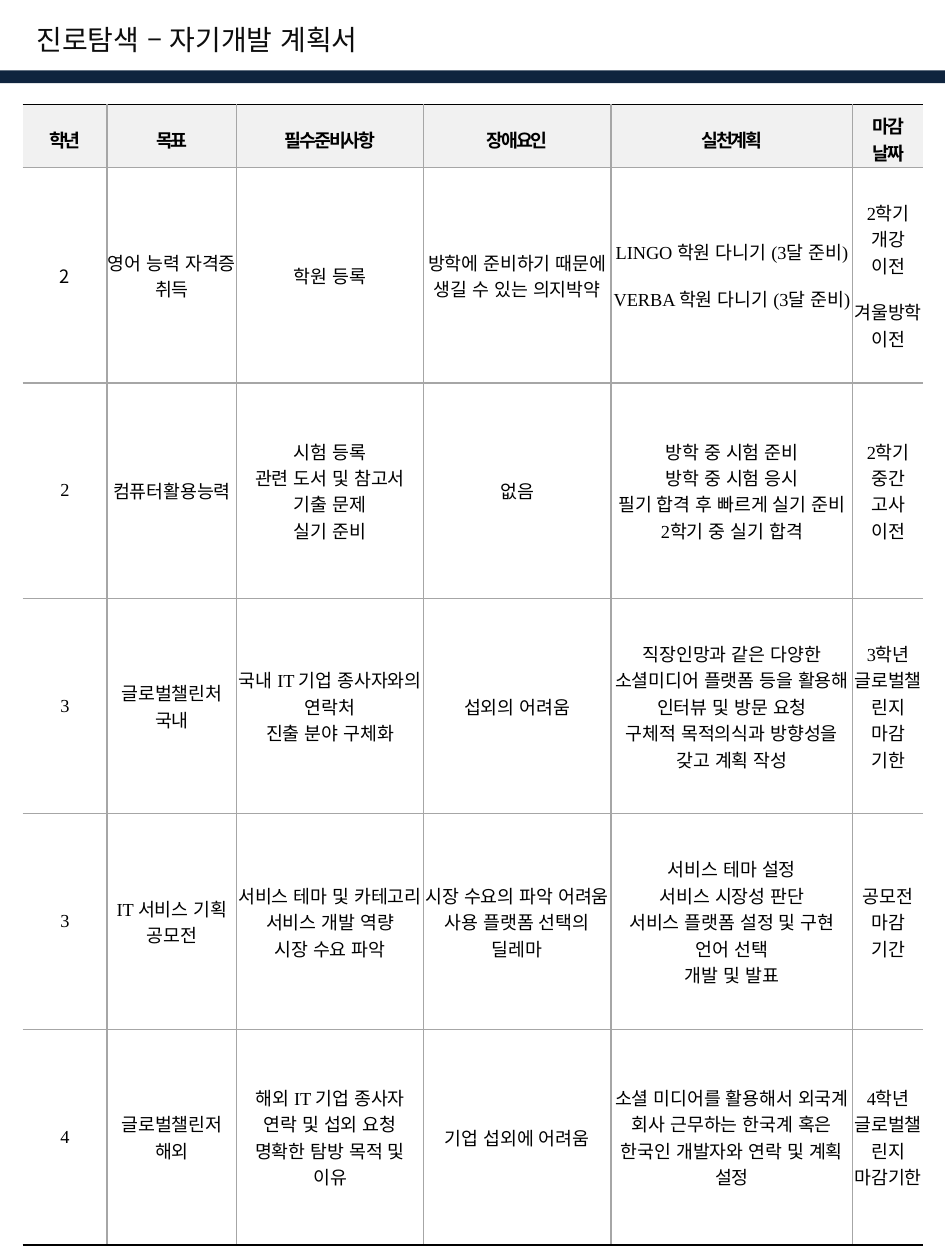
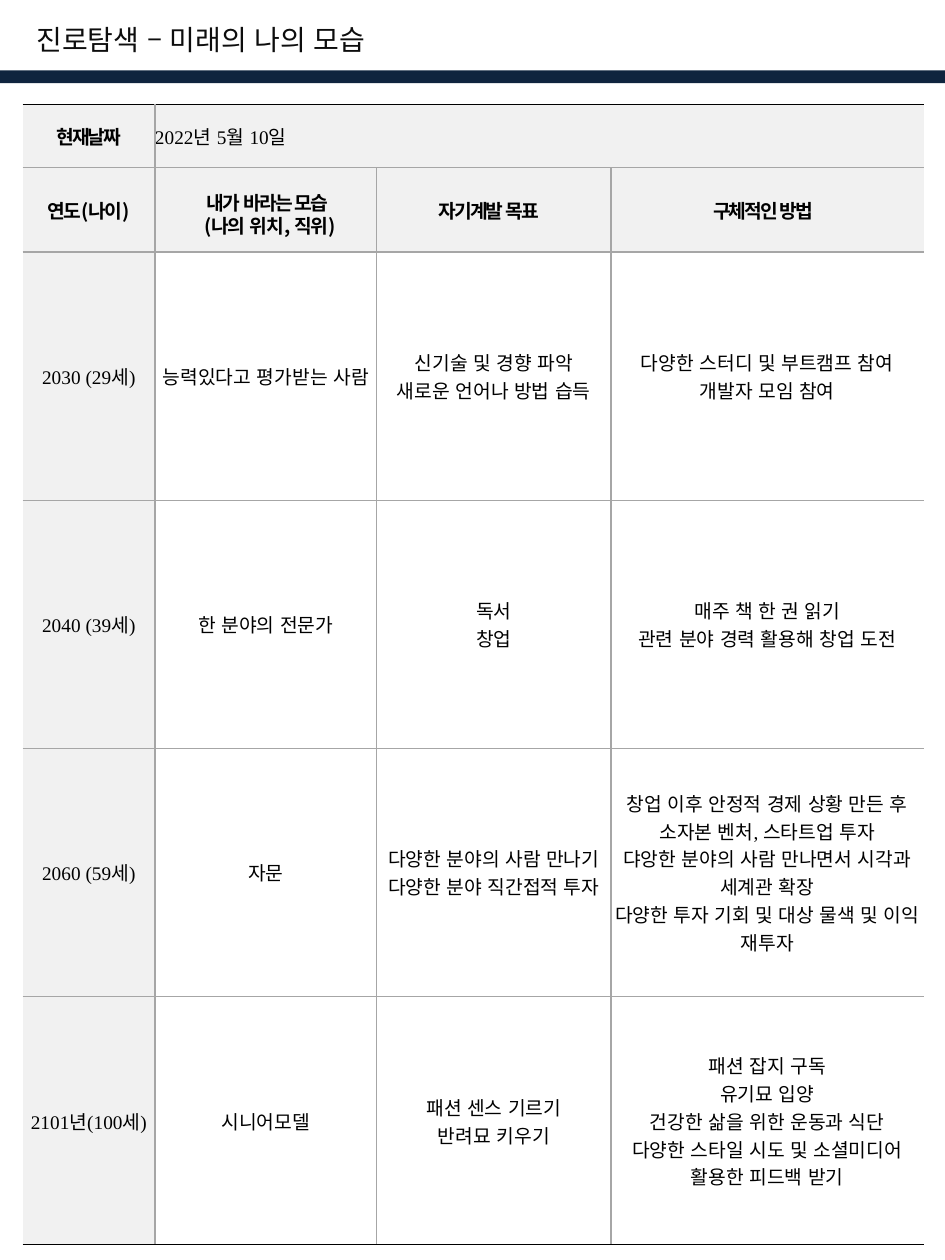
from lxml.etree import SubElement
from pptx import Presentation
from pptx.dml.color import RGBColor
from pptx.enum.shapes import MSO_SHAPE
from pptx.enum.text import MSO_ANCHOR, PP_ALIGN
from pptx.oxml.ns import qn
from pptx.util import Inches, Pt

SANS = "Noto Sans CJK KR"
SERIF = "Times New Roman"
NAVY, INK, BLACK = "0F243E", "0D0D0D", "000000"
GREY, PALE = "A6A6A6", "F1F1F1"

PLAN = [
    ["학년", "목표", "필수준비사항", "장애요인", "실천계획", "마감\n날짜"],
    ["2", "영어 능력 자격증 취득", "학원 등록",
     "방학에 준비하기 때문에 생길 수 있는 의지박약",
     "LINGO 학원 다니기 (3달 준비)\n\nVERBA 학원 다니기 (3달 준비)",
     "2학기 개강 이전\n\n겨울방학 이전"],
    ["2", "컴퓨터활용능력",
     "시험 등록\n관련 도서 및 참고서\n기출 문제\n실기 준비", "없음",
     "방학 중 시험 준비\n방학 중 시험 응시\n"
     "필기 합격 후 빠르게 실기 준비\n2학기 중 실기 합격",
     "2학기 중간 고사 이전"],
    ["3", "글로벌챌린처\n국내",
     "국내 IT 기업 종사자와의 연락처\n진출 분야 구체화", "섭외의 어려움",
     "직장인망과 같은 다양한 소셜미디어 플랫폼 등을 활용해 인터뷰 및 방문 요청\n"
     "구체적 목적의식과 방향성을 갖고 계획 작성",
     "3학년 글로벌챌린지 마감 기한"],
    ["3", "IT 서비스 기획 공모전",
     "서비스 테마 및 카테고리\n서비스 개발 역량\n시장 수요 파악",
     "시장 수요의 파악 어려움\n사용 플랫폼 선택의 딜레마",
     "서비스 테마 설정\n서비스 시장성 판단\n"
     "서비스 플랫폼 설정 및 구현 언어 선택\n개발 및 발표",
     "공모전 마감 기간"],
    ["4", "글로벌챌린저\n해외",
     "해외 IT 기업 종사자 연락 및 섭외 요청\n명확한 탐방 목적 및 이유",
     "기업 섭외에 어려움",
     "소셜 미디어를 활용해서 외국계 회사 근무하는 한국계 혹은 "
     "한국인 개발자와 연락 및 계획 설정",
     "4학년 글로벌챌린지 마감기한"],
]

DREAM = [
    ["현재날짜", "2022년 5월 10일", "", ""],
    ["연도(나이)", "", "자기계발 목표", "구체적인 방법"],
    ["2030 (29세)", "능력있다고 평가받는 사람",
     "신기술 및 경향 파악\n새로운 언어나 방법 습득",
     "다양한 스터디 및 부트캠프 참여\n개발자 모임 참여"],
    ["2040 (39세)", "한 분야의 전문가", "독서\n창업",
     "매주 책 한 권 읽기\n관련 분야 경력 활용해 창업 도전"],
    ["2060 (59세)", "자문",
     "다양한 분야의 사람 만나기\n다양한 분야 직간접적 투자",
     "창업 이후 안정적 경제 상황 만든 후 소자본 벤처, 스타트업 투자\n"
     "댜앙한 분야의 사람 만나면서 시각과 세계관 확장\n"
     "다양한 투자 기회 및 대상 물색 및 이익 재투자"],
    ["2101년(100세)", "시니어모델", "패션 센스 기르기\n반려묘 키우기",
     "패션 잡지 구독\n유기묘 입양\n건강한 삶을 위한 운동과 식단\n"
     "다양한 스타일 시도 및 소셜미디어 활용한 피드백 받기"],
]

WISH = [
    (0.41, [("내가 ", -1.2), ("바라는 모습", -1.1)]),
    (0.39, [("(나의 ", -0.7), ("위치, ", -0.5), ("직위)", -0.8)]),
]


def color(code):
    return RGBColor.from_string(code)


class Deck:
    def __init__(self):
        self.prs = Presentation()
        self.prs.slide_width = Inches(7.5)
        self.prs.slide_height = Inches(10)
        self.slide = None

    def page(self, title):
        self.slide = self.prs.slides.add_slide(self.prs.slide_layouts[5])
        self.band()
        box = self.slide.shapes.title
        box.left, box.top = Inches(0.19), Inches(0.14)
        box.width, box.height = Inches(6.75), Inches(0.35)
        frame = box.text_frame
        frame.vertical_anchor = MSO_ANCHOR.MIDDLE
        para = frame.paragraphs[0]
        para.alignment = PP_ALIGN.LEFT
        self.label(para, title, 16, SANS, tint=INK)

    def band(self):
        bar = self.slide.shapes.add_shape(
            MSO_SHAPE.RECTANGLE, 0, Inches(0.56), Inches(7.5), Inches(0.1))
        bar.shadow.inherit = False
        bar.fill.solid()
        bar.fill.fore_color.rgb = color(NAVY)
        bar.line.fill.background()

    def label(self, para, text, size, face, bold=False, gap=0, tint=BLACK):
        piece = para.add_run()
        piece.text = text
        font = piece.font
        font.size, font.name, font.bold = Pt(size), face, bold
        font.color.rgb = color(tint)
        props = font._element
        props.set("lang", "ko-KR")
        if gap:
            props.set("spc", str(round(gap * 100)))
        SubElement(props, qn("a:ea"), typeface=SANS)

    def fill_in(self, cell, text, size, head):
        frame = cell.text_frame
        for block, part in enumerate(text.split("\n\n")):
            for row, line in enumerate(part.split("\n")):
                first = block == row == 0
                para = frame.paragraphs[0] if first else frame.add_paragraph()
                para.alignment = PP_ALIGN.CENTER
                if block and row == 0:
                    para.space_before = Pt(11.6)
                self.label(para, line, size, SANS if head else SERIF,
                           head, -1.1 if head else 0)

    def edge(self, cell, side, tint, width):
        line = SubElement(cell._tc.get_or_add_tcPr(), qn("a:ln" + side),
                          w=str(Pt(width)))
        if tint:
            fill = SubElement(line, qn("a:solidFill"))
            SubElement(fill, qn("a:srgbClr"), val=tint)
        else:
            SubElement(line, qn("a:noFill"))

    def table(self, data, cols, rows, size, heads, shaded, span=None):
        frame = self.slide.shapes.add_table(
            len(rows), len(cols), Inches(0.18), Inches(0.83),
            Inches(sum(cols)), Inches(sum(rows)))
        grid = frame.table
        grid.first_row = grid.horz_banding = False
        for col, width in zip(grid.columns, cols):
            col.width = Inches(width)
        for row, height in zip(grid.rows, rows):
            row.height = Inches(height)
        if span:
            grid.cell(*span[0]).merge(grid.cell(*span[1]))
        for r, line in enumerate(data):
            for c, text in enumerate(line):
                cell = grid.cell(r, c)
                inner = cell.is_spanned
                last = c == len(cols) - 1 or inner or cell.is_merge_origin
                top, end = r == 0, r == len(rows) - 1
                self.edge(cell, "L", None if c == 0 or inner else GREY, 0.75)
                self.edge(cell, "R", None if last else GREY, 0.75)
                self.edge(cell, "T", BLACK if top else GREY, 1 if top else 0.75)
                self.edge(cell, "B", BLACK if end else GREY, 1 if end else 0.75)
                if shaded(r, c):
                    cell.fill.solid()
                    cell.fill.fore_color.rgb = color(PALE)
                else:
                    cell.fill.background()
                cell.margin_left = cell.margin_right = 0
                cell.margin_top = cell.margin_bottom = 0
                cell.vertical_anchor = MSO_ANCHOR.MIDDLE
                if text:
                    self.fill_in(cell, text, size, heads(r, c))
        return grid

    def indent(self, para, left):
        para.alignment = PP_ALIGN.LEFT
        para._p.get_or_add_pPr().set("marL", str(Inches(left)))

    def wish(self, cell):
        cell.margin_top = Inches(0.1)
        frame = cell.text_frame
        for n, (left, parts) in enumerate(WISH):
            para = frame.add_paragraph() if n else frame.paragraphs[0]
            self.indent(para, left)
            para.line_spacing = Pt(13.1)
            for text, gap in parts:
                self.label(para, text, 11, SANS, True, gap)


def main():
    deck = Deck()
    deck.page("진로탐색 – 자기개발 계획서")
    grid = deck.table(
        PLAN, [0.67, 1.03, 1.48, 1.49, 1.92, 0.56], [0.5] + [1.71] * 5, 10.5,
        lambda r, c: r == 0, lambda r, c: r == 0)
    for c in range(len(PLAN[0])):
        grid.cell(0, c).margin_top = Inches(0.05)
    grid.cell(1, 0).text_frame.paragraphs[0].runs[0].font.name = SANS

    deck.page("진로탐색 – 미래의 나의 모습")
    grid = deck.table(
        DREAM, [1.05, 1.76, 1.86, 2.48], [0.5, 0.67] + [1.97] * 4, 11,
        lambda r, c: r == 1 or r == c == 0, lambda r, c: r < 2 or c == 0,
        ((0, 1), (0, 3)))
    grid.cell(0, 1).text_frame.paragraphs[0].alignment = PP_ALIGN.LEFT
    deck.wish(grid.cell(1, 1))
    for c, left in ((2, 0.49), (3, 0.81)):
        deck.indent(grid.cell(1, c).text_frame.paragraphs[0], left)
    deck.prs.save("out.pptx")


if __name__ == "__main__":
    main()
